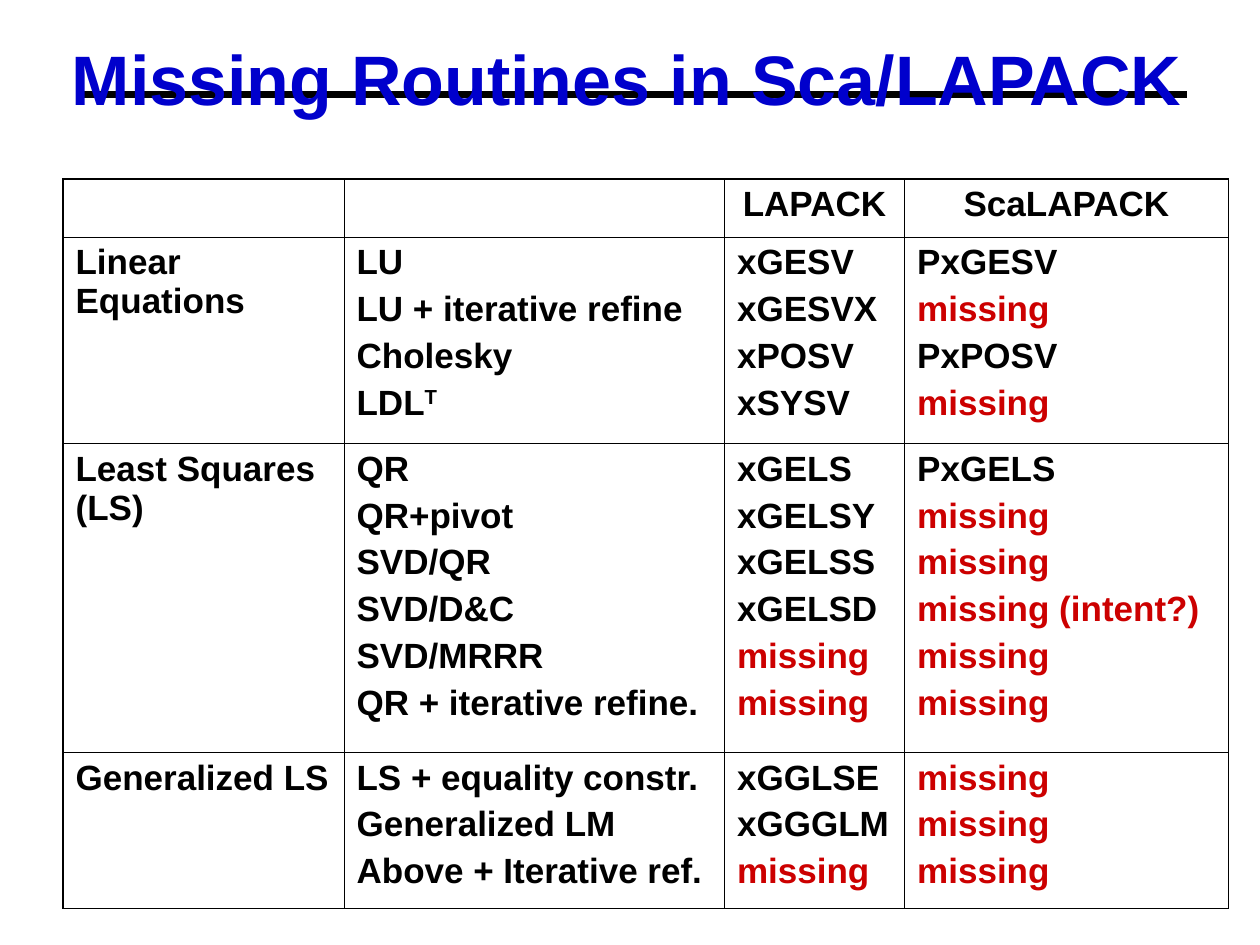
"""Build the slide on routines missing from LAPACK and ScaLAPACK."""
from lxml.etree import SubElement
from pptx import Presentation
from pptx.dml.color import RGBColor
from pptx.enum.shapes import MSO_CONNECTOR
from pptx.enum.text import PP_ALIGN
from pptx.oxml.ns import qn
from pptx.util import Inches, Pt

BLACK = RGBColor(0x00, 0x00, 0x00)
BLUE = RGBColor(0x00, 0x00, 0xCC)
RED = RGBColor(0xCC, 0x00, 0x00)

TITLE = "Missing Routines in Sca/LAPACK"
HEADINGS = ("", "", "LAPACK", "ScaLAPACK")
GROUPS = [
    ("Linear Equations", [
        ("LU", "xGESV", "PxGESV"),
        ("LU + iterative refine", "xGESVX", "missing"),
        ("Cholesky", "xPOSV", "PxPOSV"),
        ("LDL^T", "xSYSV", "missing"),
    ]),
    ("Least Squares (LS)", [
        ("QR", "xGELS", "PxGELS"),
        ("QR+pivot", "xGELSY", "missing"),
        ("SVD/QR", "xGELSS", "missing"),
        ("SVD/D&C", "xGELSD", "missing (intent?)"),
        ("SVD/MRRR", "missing", "missing"),
        ("QR + iterative refine.", "missing", "missing"),
    ]),
    ("Generalized LS", [
        ("LS + equality constr.", "xGGLSE", "missing"),
        ("Generalized LM", "xGGGLM", "missing"),
        ("Above + Iterative ref.", "missing", "missing"),
    ]),
]
COLUMN_WIDTHS = (2.23, 3.02, 1.43, 2.57)
ROW_HEIGHTS = (0.46, 1.64, 2.45, 1.24)
INNER_LINE, OUTER_LINE = 0.45, 1.08


def set_format(target, values):
    for name, value in values.items():
        setattr(target, name, value)


def add_span(para, text, size, color):
    span = para.add_run()
    span.text = text
    set_format(span.font, {"name": "Arial", "size": Pt(size), "bold": True})
    span.font.color.rgb = color
    return span


def add_title(page):
    rule = page.shapes.add_connector(
        MSO_CONNECTOR.STRAIGHT, Inches(0.67), Inches(0.75), Inches(9.42), Inches(0.75))
    rule.line.color.rgb = BLACK
    rule.line.width = Pt(3.75)
    SubElement(rule._element.spPr, qn("a:effectLst"))
    box = page.shapes.add_textbox(Inches(0.5), Inches(0.3), Inches(9), Inches(1.25))
    set_format(box.text_frame, {
        "word_wrap": True, "margin_left": Inches(0.07), "margin_right": Inches(0.07),
        "margin_top": Inches(0.07), "margin_bottom": Inches(0.03)})
    para = box.text_frame.paragraphs[0]
    para.line_spacing = 0.87
    add_span(para, TITLE, 40, BLUE)


def fill_cell(cell, lines, align):
    frame = cell.text_frame
    for index, line in enumerate(lines):
        para = frame.add_paragraph() if index else frame.paragraphs[0]
        para.alignment = align
        if index:
            para.space_before = Pt(4.4)
        base, _, power = line.partition("^")
        color = RED if line.startswith("missing") else BLACK
        if base:
            add_span(para, base, 20, color)
        if power:
            span = add_span(para, power, 20, color)
            span._r.get_or_add_rPr().set("baseline", "30000")


def set_borders(cell, outer_sides):
    properties = cell._tc.get_or_add_tcPr()
    for side in "LRTB":
        width = OUTER_LINE if side in outer_sides else INNER_LINE
        border = SubElement(properties, qn(f"a:ln{side}"), w=str(int(Pt(width))))
        fill = SubElement(border, qn("a:solidFill"))
        SubElement(fill, qn("a:srgbClr"), val=str(BLACK))
    cell.fill.background()


def add_routines(page):
    rows = [[[heading] for heading in HEADINGS]]
    rows += [[[group], *zip(*routines)] for group, routines in GROUPS]
    last_row, last_column = len(rows) - 1, len(HEADINGS) - 1
    table = page.shapes.add_table(
        len(rows), len(HEADINGS), Inches(0.5), Inches(1.42),
        Inches(sum(COLUMN_WIDTHS)), Inches(sum(ROW_HEIGHTS))).table
    set_format(table, {"first_row": False, "horz_banding": False})
    for column, width in zip(table.columns, COLUMN_WIDTHS):
        column.width = Inches(width)
    for r, (row, height) in enumerate(zip(table.rows, ROW_HEIGHTS)):
        row.height = Inches(height)
        for c, cell in enumerate(row.cells):
            fill_cell(cell, rows[r][c], PP_ALIGN.LEFT if r else PP_ALIGN.CENTER)
            edges = {"L": c == 0, "R": c == last_column, "T": r == 0, "B": r == last_row}
            set_borders(cell, [side for side, outer in edges.items() if outer])


def main():
    deck = Presentation()
    set_format(deck, {"slide_width": Inches(10), "slide_height": Inches(7.5)})
    page = deck.slides.add_slide(deck.slide_layouts[6])
    add_title(page)
    add_routines(page)
    deck.save("out.pptx")


if __name__ == "__main__":
    main()
